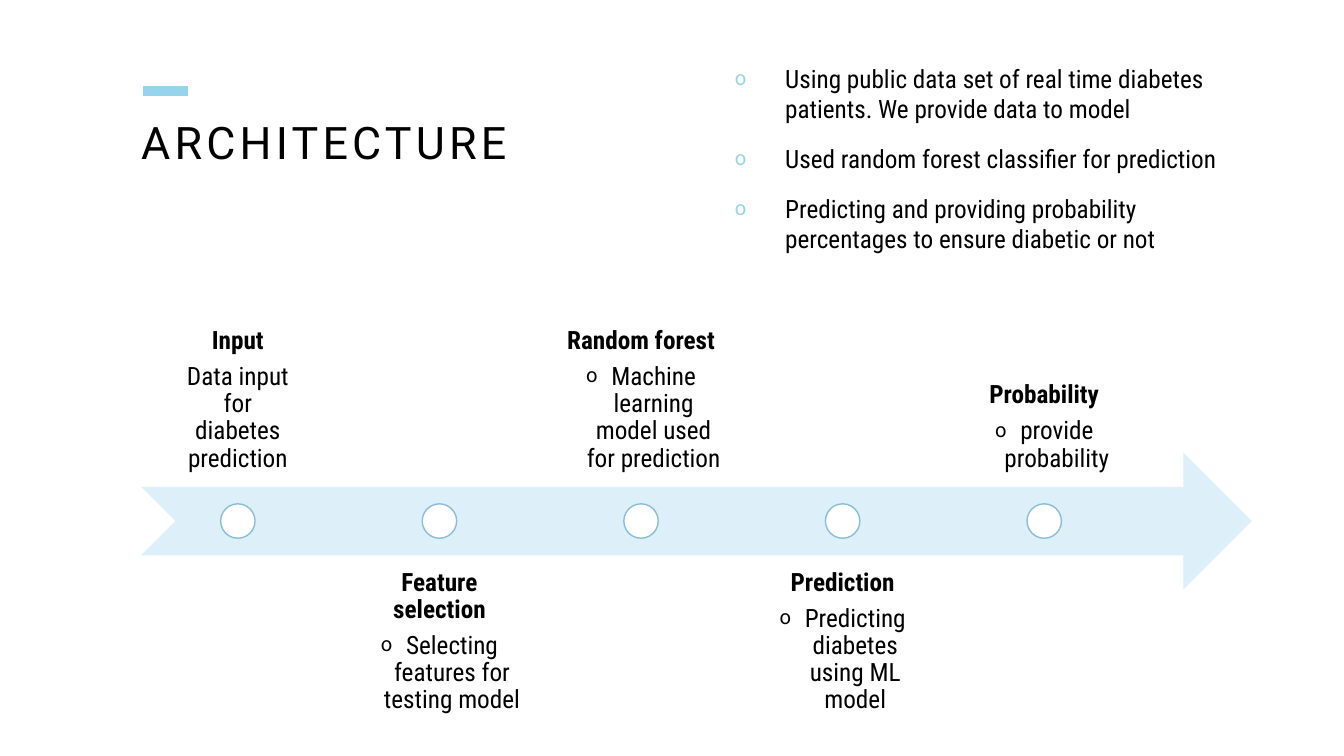
"""Build the architecture slide: title, key points and a five-stage arrow timeline."""
from dataclasses import dataclass

from lxml import etree
from pptx import Presentation
from pptx.dml.color import RGBColor
from pptx.enum import shapes, text
from pptx.oxml import ns
from pptx.util import Pt


@dataclass(frozen=True)
class Theme:
    """Colours, fonts and type sizes."""
    ink: str = "000000"
    paper: str = "FFFFFF"
    accent: str = "96D3ED"
    band: str = "DDEFF8"
    ring: str = "88BFD7"
    title_font: str = "Roboto"
    body_font: str = "Roboto Condensed"
    title_size: float = 32
    body_size: float = 18


THEME = Theme()
POINTS = (
    "Using public data set of real time diabetes patients. We provide data to model",
    "Used random forest classifier for prediction",
    "Predicting and providing probability percentages to ensure diabetic or not",
)
STAGES = (
    ("Input", "Data input for diabetes prediction"),
    ("Feature selection", "Selecting features for testing model"),
    ("Random forest", "Machine learning model used for prediction"),
    ("Prediction", "Predicting diabetes using ML model"),
    ("Probability", "provide probability"),
)
FIRST_CENTRE, STAGE_STEP = 169.9, 144
ARROW_MIDDLE, MARKER_SIZE = 372.2, 24.6
LABEL_HEIGHT, LABEL_PADDING = 97.9, 10.1
ABOVE_TOP, BELOW_TOP = 249.8, 396.7


def add_bullet(paragraph, colour):
    """Give the paragraph a small round bullet."""
    properties = paragraph._p.get_or_add_pPr()
    holder = etree.SubElement(properties, ns.qn("a:buClr"))
    etree.SubElement(holder, ns.qn("a:srgbClr"), val=colour)
    etree.SubElement(properties, ns.qn("a:buSzPct"), val="80000")
    etree.SubElement(properties, ns.qn("a:buFont"), typeface=THEME.title_font)
    etree.SubElement(properties, ns.qn("a:buChar"), char="o")


def write(frame, words, *, font=THEME.body_font, size=THEME.body_size, bold=False,
          align=text.PP_ALIGN.LEFT, line=1.0, before=0, after=0, left=0, hang=0,
          bullet=None, tracking=0):
    """Write one formatted paragraph, reusing the empty first one of the frame."""
    first = not frame.text
    paragraph = frame.paragraphs[0] if first else frame.add_paragraph()
    properties = paragraph._p.get_or_add_pPr()
    properties.set("marL", str(Pt(left)))
    properties.set("indent", str(Pt(-hang)))
    if bullet:
        add_bullet(paragraph, bullet)
    paragraph.alignment = align
    paragraph.line_spacing = line
    paragraph.space_before = Pt(0 if first else before)
    paragraph.space_after = Pt(after)
    run = paragraph.add_run()
    run.text = words
    run.font.name, run.font.size, run.font.bold = font, Pt(size), bold
    run.font.color.rgb = RGBColor.from_string(THEME.ink)
    if tracking:
        run._r.get_or_add_rPr().set("spc", str(tracking * 100))


def set_frame(frame, padding=0, anchor=text.MSO_ANCHOR.TOP):
    """Set wrapping, margins and anchor of a text frame."""
    frame.word_wrap = True
    frame.auto_size = text.MSO_AUTO_SIZE.NONE
    frame.vertical_anchor = anchor
    frame.margin_left = frame.margin_right = Pt(padding)
    frame.margin_top = frame.margin_bottom = Pt(padding)
    return frame


def add_text_box(slide, left, top, width, height, **options):
    """Add a text box and return its frame."""
    box = slide.shapes.add_textbox(Pt(left), Pt(top), Pt(width), Pt(height))
    return set_frame(box.text_frame, **options)


def add_title(slide, words):
    """Place the title and the accent dash above it."""
    dash = slide.shapes.add_connector(
        shapes.MSO_CONNECTOR.STRAIGHT, Pt(102.2), Pt(64.8), Pt(134.6), Pt(64.8))
    dash.line.color.rgb = RGBColor.from_string(THEME.accent)
    dash.line.width = Pt(7)
    etree.SubElement(dash._element.spPr, ns.qn("a:effectLst"))
    title = slide.shapes.title
    title.left, title.top, title.width, title.height = Pt(100.8), Pt(86.4), Pt(396), Pt(144)
    write(set_frame(title.text_frame), words, font=THEME.title_font,
          size=THEME.title_size, line=0.9, tracking=3)


def add_shape(slide, kind, left, top, width, height, fill, outline=None):
    """Add a flat preset shape."""
    shape = slide.shapes.add_shape(kind, Pt(left), Pt(top), Pt(width), Pt(height))
    shape.shadow.inherit = False
    shape.fill.solid()
    shape.fill.fore_color.rgb = RGBColor.from_string(fill)
    if outline:
        shape.line.color.rgb = RGBColor.from_string(outline)
        shape.line.width = Pt(1)
    else:
        shape.line.fill.background()


def add_stage(slide, index, heading, detail):
    """Add a marker on the arrow and its label, alternating above and below."""
    centre = FIRST_CENTRE + index * STAGE_STEP
    above, opening = index % 2 == 0, index == 0
    width = 104.4 if opening else 137.5
    frame = add_text_box(
        slide, centre - width / 2, ABOVE_TOP if above else BELOW_TOP, width, LABEL_HEIGHT,
        padding=LABEL_PADDING,
        anchor=text.MSO_ANCHOR.BOTTOM if above else text.MSO_ANCHOR.TOP)
    shared = dict(align=text.PP_ALIGN.CENTER, line=0.9)
    indent = 18 if index >= 2 else 0
    write(frame, heading, bold=True, after=6.3, left=indent, hang=indent, **shared)
    if opening:
        write(frame, detail, after=2.7, hang=13.5, **shared)
    else:
        write(frame, detail, after=2.7, left=18, hang=18, bullet=THEME.ink, **shared)
    add_shape(slide, shapes.MSO_SHAPE.OVAL, centre - MARKER_SIZE / 2,
              ARROW_MIDDLE - MARKER_SIZE / 2, MARKER_SIZE, MARKER_SIZE,
              THEME.paper, THEME.ring)


def main():
    """Build and save the slide."""
    presentation = Presentation()
    presentation.slide_width, presentation.slide_height = Pt(960), Pt(540)
    slide = presentation.slides.add_slide(presentation.slide_layouts[5])
    add_title(slide, "ARCHITECTURE")
    points = add_text_box(slide, 524.9, 45.4, 360, 144)
    for point in POINTS:
        write(points, point, before=14, left=36, hang=36, bullet=THEME.accent)
    add_shape(slide, shapes.MSO_SHAPE.NOTCHED_RIGHT_ARROW, 100.8,
              ARROW_MIDDLE - LABEL_HEIGHT / 2, 793.4, LABEL_HEIGHT, THEME.band)
    for index, (heading, detail) in enumerate(STAGES):
        add_stage(slide, index, heading, detail)
    presentation.save("out.pptx")


if __name__ == "__main__":
    main()
